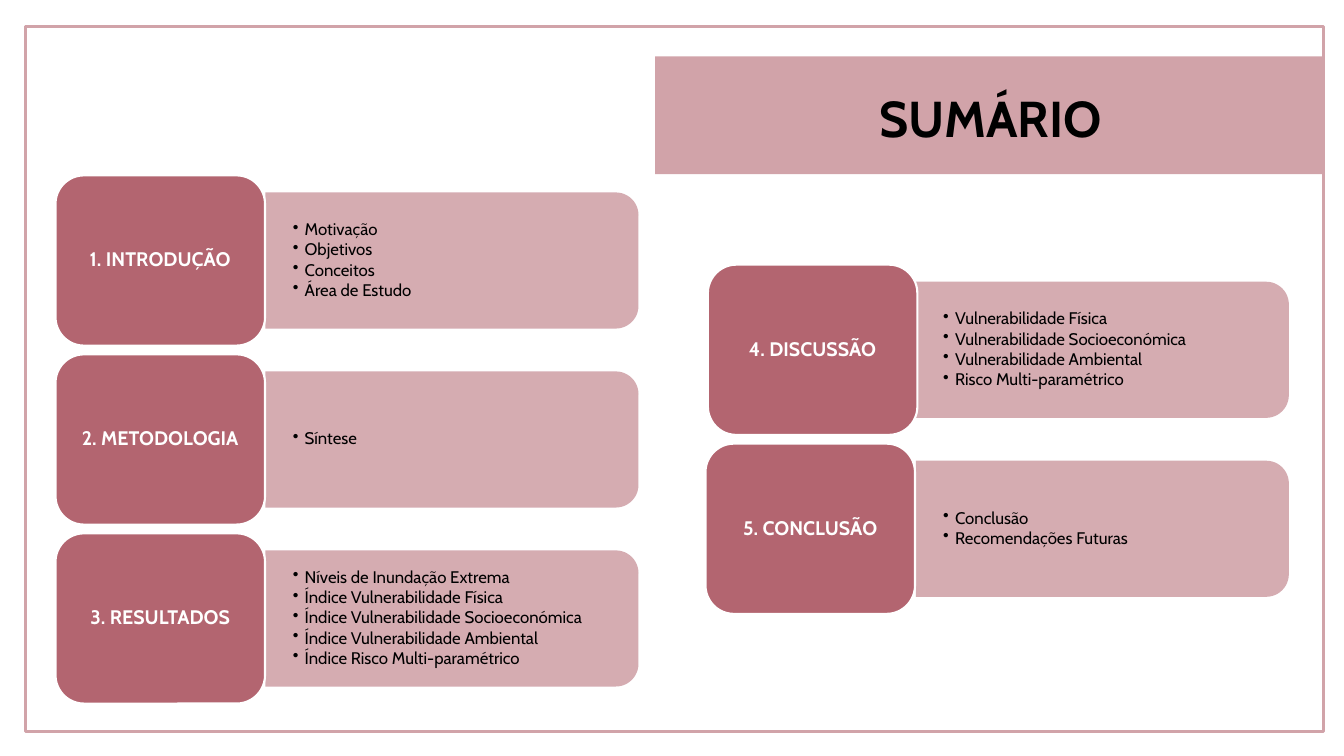
from lxml import etree
from pptx import Presentation
from pptx.dml.color import RGBColor
from pptx.enum import shapes, text
from pptx.oxml import ns
from pptx.util import Cm, Pt

PINK = RGBColor(0xD1, 0xA3, 0xA9)
ROSE = RGBColor(0xB3, 0x65, 0x70)
WHITE = RGBColor(0xFF, 0xFF, 0xFF)
BLACK = RGBColor(0x00, 0x00, 0x00)
FONT = "Cabin"

# Sizes in centimetres
TILE_W, TILE_H, STEP = 5.28, 4.29, 4.51
PANEL_W, PANEL_H = 9.4, 3.43
LIST_W, LIST_H = 9.24, 3.1

# Each column: panel left, first tile top, then (tile left, heading, points)
COLS = [
    (6.69, 4.42, [
        (1.4, "1. INTRODUÇÃO",
         ["Motivação", "Objetivos", "Conceitos", "Área de Estudo"]),
        (1.4, "2. METODOLOGIA", ["Síntese"]),
        (1.4, "3. RESULTADOS",
         ["Níveis de Inundação Extrema", "Índice Vulnerabilidade Física",
          "Índice Vulnerabilidade Socioeconómica",
          "Índice Vulnerabilidade Ambiental",
          "Índice Risco Multi-paramétrico"]),
    ]),
    (23.08, 6.67, [
        (17.84, "4. DISCUSSÃO",
         ["Vulnerabilidade Física", "Vulnerabilidade Socioeconómica",
          "Vulnerabilidade Ambiental", "Risco Multi-paramétrico"]),
        (17.78, "5. CONCLUSÃO", ["Conclusão", "Recomendações Futuras"]),
    ]),
]


def add_form(home, kind, x, y, w, h, fill=None):
    form = home.add_shape(kind, Cm(x), Cm(y), Cm(w), Cm(h))
    form.shadow.inherit = False
    if fill is None:
        form.fill.background()
    else:
        form.fill.solid()
        form.fill.fore_color.rgb = fill
    form.line.fill.background()
    return form


def set_font(par, size, color, bold=False):
    for run in par.runs:
        run.font.name = FONT
        run.font.size = Pt(size)
        run.font.bold = bold
        run.font.color.rgb = color


prs = Presentation()
prs.slide_width, prs.slide_height = Cm(33.87), Cm(19.05)
slide = prs.slides.add_slide(prs.slide_layouts[5])
kinds = shapes.MSO_SHAPE

# Banner and frame
add_form(slide.shapes, kinds.RECTANGLE, 16.51, 1.42, 16.82, 2.97, PINK)
frame = add_form(slide.shapes, kinds.RECTANGLE, 0.64, 0.66, 32.71, 17.78)
frame.line.color.rgb = PINK
frame.line.width = Pt(2)

# Title, brought in front of the banner
title = slide.shapes.title
slide.shapes._spTree.append(title._element)
title.left, title.top, title.width, title.height = Cm(16.59), Cm(2.06), Cm(16.76), Cm(1.8)
title.text_frame.text = "SUMÁRIO"
title.text_frame.auto_size = text.MSO_AUTO_SIZE.NONE
title.text_frame.vertical_anchor = text.MSO_ANCHOR.MIDDLE
head = title.text_frame.paragraphs[0]
head.alignment = text.PP_ALIGN.CENTER
set_font(head, 36, BLACK, True)

for left, top, parts in COLS:
    group = slide.shapes.add_group_shape().shapes
    for row, (x, name, points) in enumerate(parts):
        y = top + row * STEP
        mid = y + TILE_H / 2

        # Panel: turned a quarter so that the round corners face right
        panel = add_form(group, kinds.ROUND_2_SAME_RECTANGLE,
                         left + (PANEL_W - PANEL_H) / 2, mid - PANEL_W / 2,
                         PANEL_H, PANEL_W, PINK)
        panel.rotation = 90
        tint = panel._element.spPr.find(".//" + ns.qn("a:srgbClr"))
        etree.SubElement(tint, ns.qn("a:alpha"), val="90000")

        # Bullet list
        box = group.add_textbox(Cm(left), Cm(mid - LIST_H / 2), Cm(LIST_W), Cm(LIST_H))
        body = box.text_frame
        body.word_wrap = True
        body.vertical_anchor = text.MSO_ANCHOR.MIDDLE
        body.margin_left = body.margin_right = Cm(0.69)
        body.margin_top = body.margin_bottom = Cm(0.36)
        body.text = "\n".join(points)
        for par in body.paragraphs:
            par.line_spacing = 0.9
            par.space_after = Pt(1.5)
            props = par._p.get_or_add_pPr()
            props.set("marL", str(Cm(0.3)))
            props.set("indent", str(-Cm(0.3)))
            etree.SubElement(props, ns.qn("a:buChar"), char="•")
            set_font(par, 12, BLACK)

        # Heading tile
        tile = add_form(group, kinds.ROUNDED_RECTANGLE, x, y, TILE_W, TILE_H, ROSE)
        tile.line.color.rgb = WHITE
        tile.line.width = Pt(1.5)
        label = tile.text_frame
        label.word_wrap = True
        label.vertical_anchor = text.MSO_ANCHOR.MIDDLE
        label.margin_left = label.margin_right = Cm(0.15)
        label.margin_top = label.margin_bottom = Cm(0.08)
        label.text = name
        par = label.paragraphs[0]
        par.alignment = text.PP_ALIGN.CENTER
        par.line_spacing = 0.9
        par.space_after = Pt(4.9)
        set_font(par, 14, WHITE, True)

prs.save("out.pptx")
